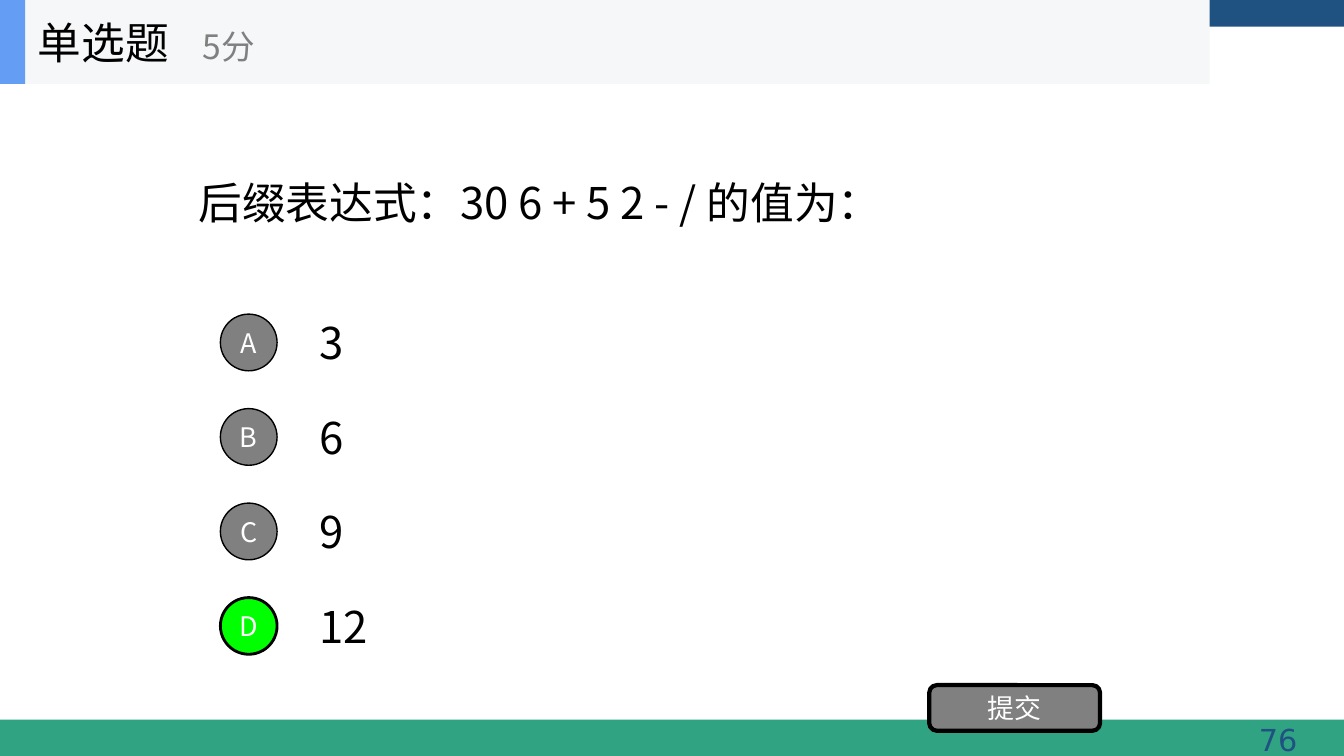
from typing import NamedTuple

from lxml import etree
from pptx import Presentation
from pptx.dml.color import RGBColor
from pptx.enum.shapes import MSO_SHAPE
from pptx.enum.text import MSO_ANCHOR, MSO_AUTO_SIZE, PP_ALIGN
from pptx.oxml.ns import qn
from pptx.util import Pt

RECT, ELLIPSE, ROUNDED = MSO_SHAPE.RECTANGLE, MSO_SHAPE.OVAL, MSO_SHAPE.ROUNDED_RECTANGLE
LEFT, CENTER, RIGHT = PP_ALIGN.LEFT, PP_ALIGN.CENTER, PP_ALIGN.RIGHT
MIDDLE, TOP = MSO_ANCHOR.MIDDLE, MSO_ANCHOR.TOP
NO_FIT = MSO_AUTO_SIZE.NONE

BLACK = RGBColor(0x00, 0x00, 0x00)
WHITE = RGBColor(0xFF, 0xFF, 0xFF)
GRAY = RGBColor(0x80, 0x80, 0x80)
GREEN = RGBColor(0x00, 0xFF, 0x00)
TEAL = RGBColor(0x30, 0xA3, 0x83)
NAVY = RGBColor(0x1F, 0x52, 0x81)
PALE = RGBColor(0xF6, 0xF7, 0xF8)
SKY = RGBColor(0x63, 0x9E, 0xF4)

CJK_FONT = "Noto Sans CJK SC"
NUMBER_FONT = "DejaVu Sans"
WIDTH, HEIGHT = 960, 540
OPTION_TOP, OPTION_PITCH = 219.4, 67.5
OPTION_HEIGHT, CIRCLE_SIZE = 50.4, 40.5


class Box(NamedTuple):
    x: float
    y: float
    w: float
    h: float


class Bar(NamedTuple):
    box: Box
    color: RGBColor


class Label(NamedTuple):
    text: str
    box: Box
    size: float = 31.2
    color: RGBColor = BLACK
    align: PP_ALIGN = LEFT
    anchor: MSO_ANCHOR = MIDDLE
    font: str = CJK_FONT


class Option(NamedTuple):
    letter: str
    answer: str
    color: RGBColor = GRAY
    line: float = 1


BARS = [
    Bar(Box(0, 514, WIDTH, 26), TEAL),
    Bar(Box(0, 0, WIDTH, 19), NAVY),
    Bar(Box(0, 0, 864, 60), PALE),
    Bar(Box(0, 0, 18, 60), SKY),
]
QUESTION = Label("后缀表达式：30 6 + 5 2 - / 的值为：", Box(134.6, 60, 691, 168.5))
LABELS = [
    Label("单选题", Box(20, 0, 180, 60)),
    Label("5分", Box(137.5, 8.6, 216, 48), size=24, color=GRAY),
    Label("76", Box(722.2, 512, 211.7, 33), 21.6, NAVY, RIGHT, TOP, NUMBER_FONT),
]
OPTIONS = [Option("A", "3"), Option("B", "6"), Option("C", "9"), Option("D", "12", GREEN, 2)]


def write(sp, label: Label) -> None:
    tf = sp.text_frame
    tf.auto_size = NO_FIT
    tf.word_wrap = True
    tf.vertical_anchor = label.anchor
    p = tf.paragraphs[0]
    p.text = label.text
    p.alignment = label.align
    p.font.size = Pt(label.size)
    p.font.color.rgb = label.color
    p.font.name = label.font
    # East Asian glyphs need their own typeface entry
    props = p._p.pPr.find(qn("a:defRPr"))
    etree.SubElement(props, qn("a:ea")).set("typeface", label.font)


def add_label(s, label: Label) -> None:
    write(s.shapes.add_textbox(*map(Pt, label.box)), label)


def add_block(s, kind: MSO_SHAPE, box: Box, color: RGBColor, line: float = 0):
    sp = s.shapes.add_shape(kind, *map(Pt, box))
    sp.shadow.inherit = False
    sp.fill.solid()
    sp.fill.fore_color.rgb = color
    if line:
        sp.line.color.rgb = BLACK
        sp.line.width = Pt(line)
    else:
        sp.line.fill.background()
    return sp


def add_button(s, kind: MSO_SHAPE, text: str, box: Box, color: RGBColor, line: float) -> None:
    sp = add_block(s, kind, box, color, line)
    tf = sp.text_frame
    tf.margin_left = tf.margin_right = tf.margin_top = tf.margin_bottom = 0
    write(sp, Label(text, box, 19.2, WHITE, CENTER))


def add_option(s, index: int, option: Option) -> None:
    top = OPTION_TOP + index * OPTION_PITCH
    circle_top = top + (OPTION_HEIGHT - CIRCLE_SIZE) / 2
    add_label(s, Label(option.answer, Box(221, top, 605, OPTION_HEIGHT)))
    circle = Box(157.4, circle_top, CIRCLE_SIZE, CIRCLE_SIZE)
    add_button(s, ELLIPSE, option.letter, circle, option.color, option.line)


def main() -> None:
    prs = Presentation()
    prs.slide_width, prs.slide_height = Pt(WIDTH), Pt(HEIGHT)
    s = prs.slides.add_slide(prs.slide_layouts[5])

    # Question
    title = s.shapes.title
    title.left, title.top, title.width, title.height = map(Pt, QUESTION.box)
    write(title, QUESTION)

    # Header and footer bars
    for bar in BARS:
        add_block(s, RECT, bar.box, bar.color)
    for label in LABELS:
        add_label(s, label)

    # Answers and submit button
    for index, option in enumerate(OPTIONS):
        add_option(s, index, option)
    add_button(s, ROUNDED, "提交", Box(663.8, 489.4, 122, 32.6), GRAY, 3)

    prs.save("out.pptx")


if __name__ == "__main__":
    main()
